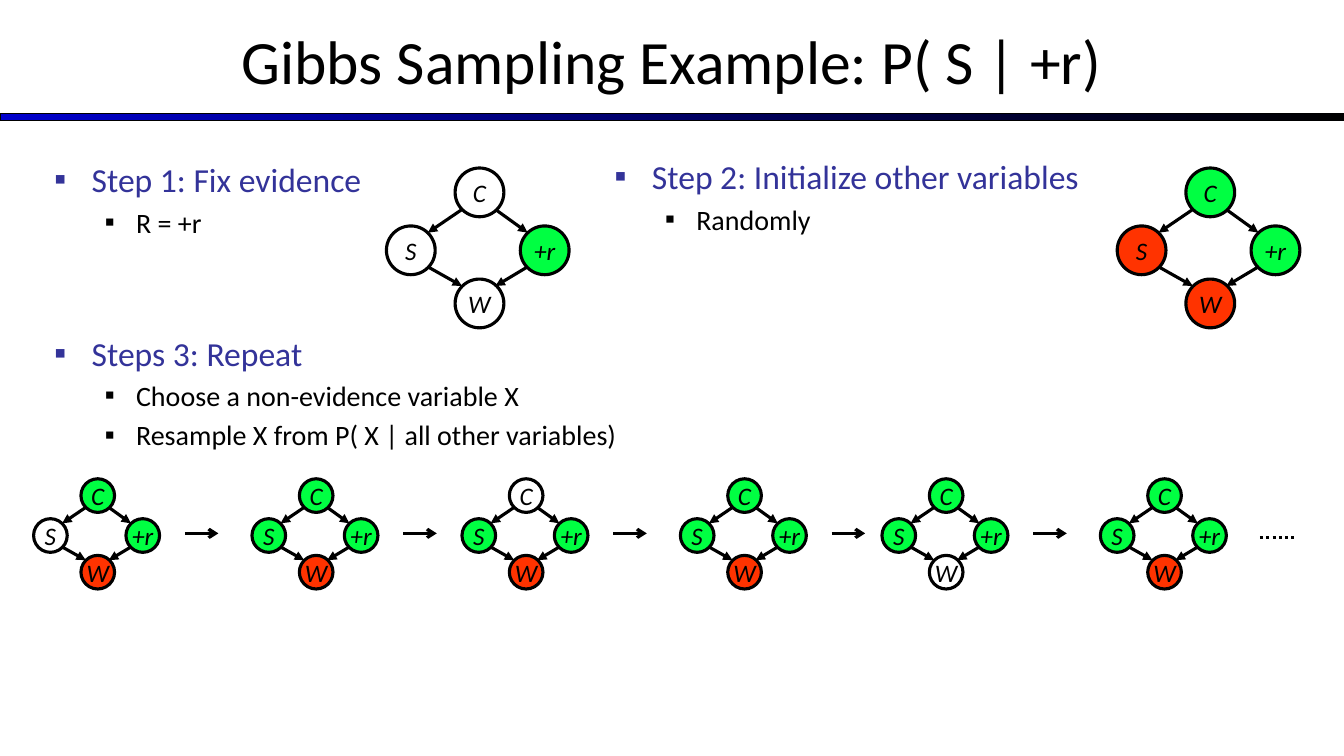
from dataclasses import dataclass
from lxml.etree import SubElement as Sub
from pptx import Presentation
from pptx.dml.color import RGBColor as RGB
from pptx.enum.dml import MSO_LINE as Dash
from pptx.enum.shapes import MSO_CONNECTOR as Wire, MSO_SHAPE as Form
from pptx.enum.text import MSO_ANCHOR as Anchor, MSO_AUTO_SIZE as Auto, PP_ALIGN as Align
from pptx.oxml.ns import qn
from pptx.util import Inches, Pt


@dataclass(frozen=True)
class Theme:
    font: str = "Calibri"
    black: RGB = RGB(0, 0, 0)
    blue: RGB = RGB(0, 0, 0xCC)
    head: RGB = RGB(0x33, 0x33, 0x99)
    green: RGB = RGB(0, 0xFF, 0x42)
    red: RGB = RGB(0xFF, 0x33, 0)
    title: int = 44
    step: int = 24
    item: int = 20
    node: int = 18
    line: float = 2.25


LOOK = Theme()
UNIT = Inches(1) / 12
FILLS = {"g": LOOK.green, "r": LOOK.red}
SIZE = 0.267
NODES = {"S": (0, 0.317), "+r": (0.733, 0.317), "W": (0.376, 0.608), "C": (0.376, 0)}
EDGES = [
    (0.773, 0.541, 0.597, 0.646),
    (0.227, 0.541, 0.414, 0.646),
    (0.597, 0.227, 0.773, 0.354),
    (0.414, 0.227, 0.227, 0.354),
]
CHAIN = [(4, "-grg"), (30, "ggrg"), (55, "ggr-"), (81, "ggrg"), (105, "gg-g"), (131, "ggrg")]


def grid(*cells):
    return [round(cell * UNIT) for cell in cells]


def add_run(para, text, size, color, slant=False):
    run = para.add_run()
    run.text = text
    font = run.font
    font.name, font.size, font.italic = LOOK.font, Pt(size), slant
    font.color.rgb = color


def add_line(shapes, ends, head=None, dash=None):
    wire = shapes.add_connector(Wire.STRAIGHT, *grid(*ends))
    wire.line.color.rgb = LOOK.black
    wire.line.width = Pt(LOOK.line)
    if dash:
        wire.line.dash_style = dash
    props = wire.element.spPr
    if head:
        Sub(props.find(qn("a:ln")), qn("a:tailEnd"), type=head)
    Sub(props, qn("a:effectLst"))


def add_node(shapes, box, name, fill):
    node = shapes.add_shape(Form.OVAL, *grid(*box))
    node.shadow.inherit = False
    if fill:
        node.fill.solid()
        node.fill.fore_color.rgb = fill
    else:
        node.fill.background()
    node.line.color.rgb = LOOK.black
    node.line.width = Pt(LOOK.line)
    frame = node.text_frame
    frame.word_wrap = False
    frame.vertical_anchor = Anchor.MIDDLE
    para = frame.paragraphs[0]
    para.alignment = Align.CENTER
    add_run(para, name, LOOK.node, LOOK.black, True)


def add_net(slide, left, top, width, state):
    shapes = slide.shapes.add_group_shape().shapes
    for (name, (x, y)), code in zip(NODES.items(), state):
        box = (left + x * width, top + y * width, SIZE * width, SIZE * width)
        add_node(shapes, box, name, FILLS.get(code))
    for x1, y1, x2, y2 in EDGES:
        ends = (left + x1 * width, top + y1 * width, left + x2 * width, top + y2 * width)
        add_line(shapes, ends, "triangle")


def add_title(slide, box, text):
    title = slide.shapes.title
    title.left, title.top, title.width, title.height = grid(*box)
    frame = title.text_frame
    frame.auto_size = Auto.NONE
    frame.vertical_anchor = Anchor.MIDDLE
    para = frame.paragraphs[0]
    para.alignment = Align.CENTER
    add_run(para, text, LOOK.title, LOOK.black)


def add_rule(slide, box):
    rule = slide.shapes.add_shape(Form.RECTANGLE, *grid(*box))
    rule.shadow.inherit = False
    rule.fill.gradient()
    rule.fill.gradient_angle = 0
    for stop, color in zip(rule.fill.gradient_stops, (LOOK.blue, LOOK.black)):
        stop.color.rgb = color
    rule.line.color.rgb = LOOK.black
    rule.line.width = Pt(0.75)


def add_steps(slide, box, rows):
    frame = slide.shapes.add_textbox(*grid(*box)).text_frame
    frame.word_wrap = True
    for spot, (level, gap, text) in enumerate(rows):
        para = frame.add_paragraph() if spot else frame.paragraphs[0]
        para.level = level
        para.space_before = Pt(gap)
        color, size, edge, hang = (
            (LOOK.black, LOOK.item, 0.81, 0.31) if level else (LOOK.head, LOOK.step, 0.37, 0.37)
        )
        props = para._p.get_or_add_pPr()
        props.set("marL", str(Inches(edge)))
        props.set("indent", str(-Inches(hang)))
        Sub(Sub(props, qn("a:buClr")), qn("a:srgbClr"), val=str(color))
        Sub(props, qn("a:buFont"), typeface=LOOK.font)
        Sub(props, qn("a:buChar"), char="▪")
        add_run(para, text, size, color)


def add_chain(slide, top, width):
    mid = top + 6.5
    for left, state in CHAIN:
        add_net(slide, left, top, width, state)
        if left != CHAIN[-1][0]:
            add_line(slide.shapes, (left + 18, mid, left + 22, mid), "arrow")
    add_line(slide.shapes, (150, mid + 0.5, 154, mid + 0.5), dash=Dash.ROUND_DOT)


def main():
    deck = Presentation()
    deck.slide_width, deck.slide_height = grid(160, 90)
    slide = deck.slides.add_slide(deck.slide_layouts[5])
    add_rule(slide, (0, 13.5, 160, 0.88))
    add_title(slide, (0, -0.37, 160, 15), "Gibbs Sampling Example: P( S | +r)")
    add_steps(slide, (72, 18, 85.7, 62), [
        (0, 0, "Step 2: Initialize other variables"),
        (1, 4, "Randomly"),
    ])
    add_steps(slide, (5.3, 18.37, 85.7, 62), [
        (0, 0, "Step 1: Fix evidence"),
        (1, 4, "R = +r"),
        (0, 67, "Steps 3: Repeat"),
        (1, 4, "Choose a non-evidence variable X"),
        (1, 4, "Resample X from P( X | all other variables)"),
    ])
    add_net(slide, 46, 20, 21.75, "-g--")
    add_net(slide, 133, 20, 21.75, "rgrg")
    add_chain(slide, 57, 15)
    deck.save("out.pptx")


if __name__ == "__main__":
    main()
